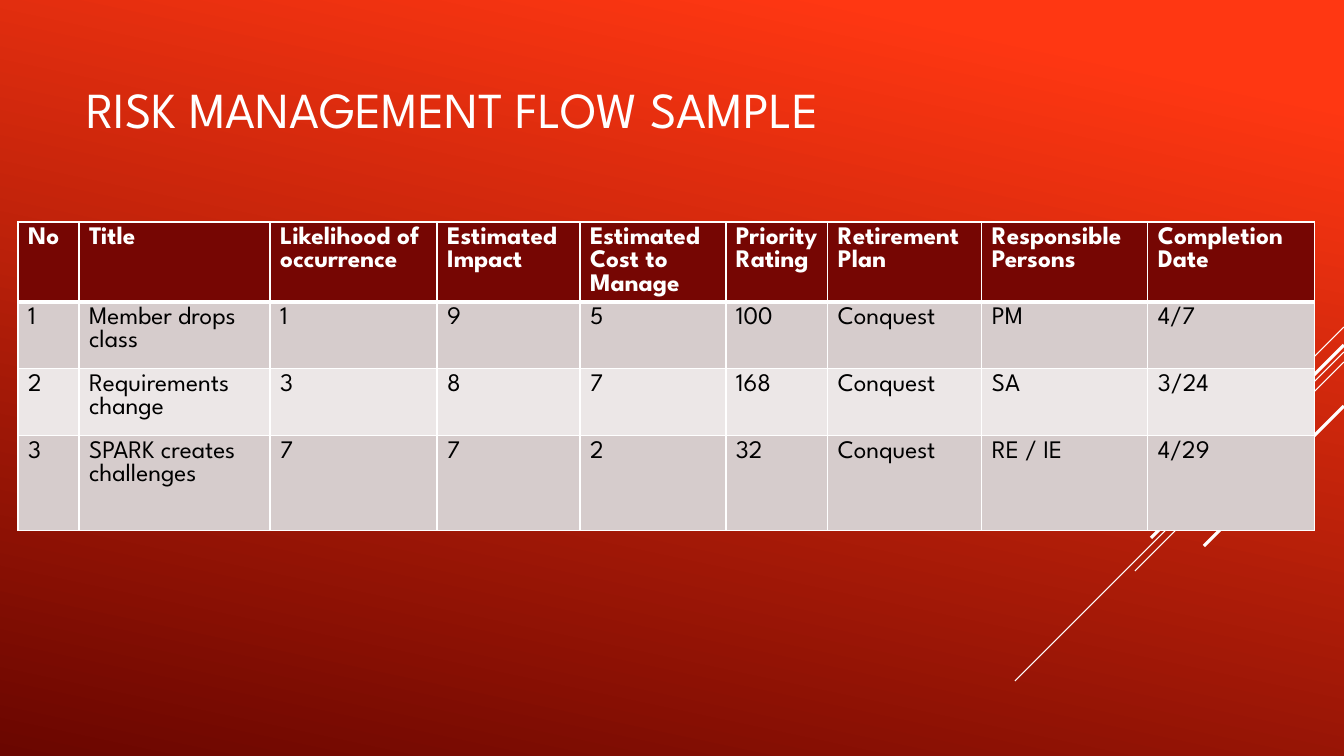
from pptx import Presentation
from pptx.dml.color import RGBColor
from pptx.enum.shapes import MSO_CONNECTOR
from pptx.enum.text import MSO_ANCHOR, PP_ALIGN
from pptx.oxml import parse_xml
from pptx.oxml.ns import nsdecls
from pptx.util import Emu, Pt

FONT = "League Spartan"
WHITE = RGBColor(0xFF, 0xFF, 0xFF)
BLACK = RGBColor(0x00, 0x00, 0x00)
BRIGHT_RED = RGBColor(0xFF, 0x37, 0x12)
DEEP_RED = RGBColor(0x6A, 0x06, 0x00)
HEADER_RED = RGBColor(0x76, 0x06, 0x03)
BANDS = [RGBColor(0xEC, 0xE7, 0xE7), RGBColor(0xD6, 0xCC, 0xCC)]


def px(pixels):
    return Emu(round(pixels * 914400 / 100.8))


def format_text(text_frame, size, color, bold=False):
    for paragraph in text_frame.paragraphs:
        paragraph.alignment = PP_ALIGN.LEFT
        for run in paragraph.runs:
            run.font.name = FONT
            run.font.size = Pt(size)
            run.font.bold = bold
            run.font.color.rgb = color


presentation = Presentation()
presentation.slide_width = px(1344)
presentation.slide_height = px(756)
slide = presentation.slides.add_slide(presentation.slide_layouts[5])

background = slide.background.fill
background.gradient()
background.gradient_angle = 258
for stop, position, color in zip(background.gradient_stops, (0.1, 1), (BRIGHT_RED, DEEP_RED)):
    stop.position = position
    stop.color.rgb = color

title = slide.shapes.title
title.left, title.top, title.width, title.height = px(76), px(25), px(940), px(166)
title.text_frame.text = "RISK MANAGEMENT FLOW SAMPLE"
title.text_frame.vertical_anchor = MSO_ANCHOR.MIDDLE
format_text(title.text_frame, 36, WHITE)

# Each diagonal runs at 45 degrees from the right edge: start height, length, weight
diagonals = [(327, 101, 0.75), (352, 329, 0.75), (362, 209, 0.75), (345, 193, 2.25), (406, 140, 2.25)]
for top, run_length, weight in diagonals:
    diagonal = slide.shapes.add_connector(
        MSO_CONNECTOR.STRAIGHT, px(1344), px(top), px(1344 - run_length), px(top + run_length))
    diagonal.line.color.rgb = WHITE
    diagonal.line.width = Pt(weight)
    diagonal._element.spPr.append(parse_xml(f"<a:effectLst {nsdecls('a')}/>"))

rows = [
    ["No", "Title", "Likelihood of occurrence", "Estimated Impact", "Estimated Cost to Manage",
     "Priority Rating", "Retirement Plan", "Responsible Persons", "Completion Date"],
    ["1", "Member drops class", "1", "9", "5", "100", "Conquest", "PM", "4/7"],
    ["2", "Requirements\nchange", "3", "8", "7", "168", "Conquest", "SA", "3/24"],
    ["3", "SPARK creates challenges", "7", "7", "2", "32", "Conquest", "RE / IE", "4/29"],
]
column_widths = [61, 191, 167, 143, 146, 102, 154, 166, 167]
row_heights = [79, 67, 67, 95]
table = slide.shapes.add_table(
    len(rows), len(column_widths), px(18), px(222), px(sum(column_widths)), px(sum(row_heights))).table
for column, width in zip(table.columns, column_widths):
    column.width = px(width)
for row, height in zip(table.rows, row_heights):
    row.height = px(height)

for row_index, texts in enumerate(rows):
    is_header = row_index == 0
    border_points = {"L": 1, "R": 1, "T": 3 if row_index == 1 else 1, "B": 3 if is_header else 1}
    for column_index, text in enumerate(texts):
        cell = table.cell(row_index, column_index)
        cell.text_frame.text = text
        format_text(cell.text_frame, 18, WHITE if is_header else BLACK, is_header)
        properties = cell._tc.get_or_add_tcPr()
        for side, points in border_points.items():
            properties.append(parse_xml(
                f'<a:ln{side} {nsdecls("a")} w="{Pt(points)}"><a:solidFill>'
                f'<a:srgbClr val="{WHITE}"/></a:solidFill></a:ln{side}>'))
        cell.fill.solid()
        cell.fill.fore_color.rgb = HEADER_RED if is_header else BANDS[row_index % 2]

presentation.save("out.pptx")
